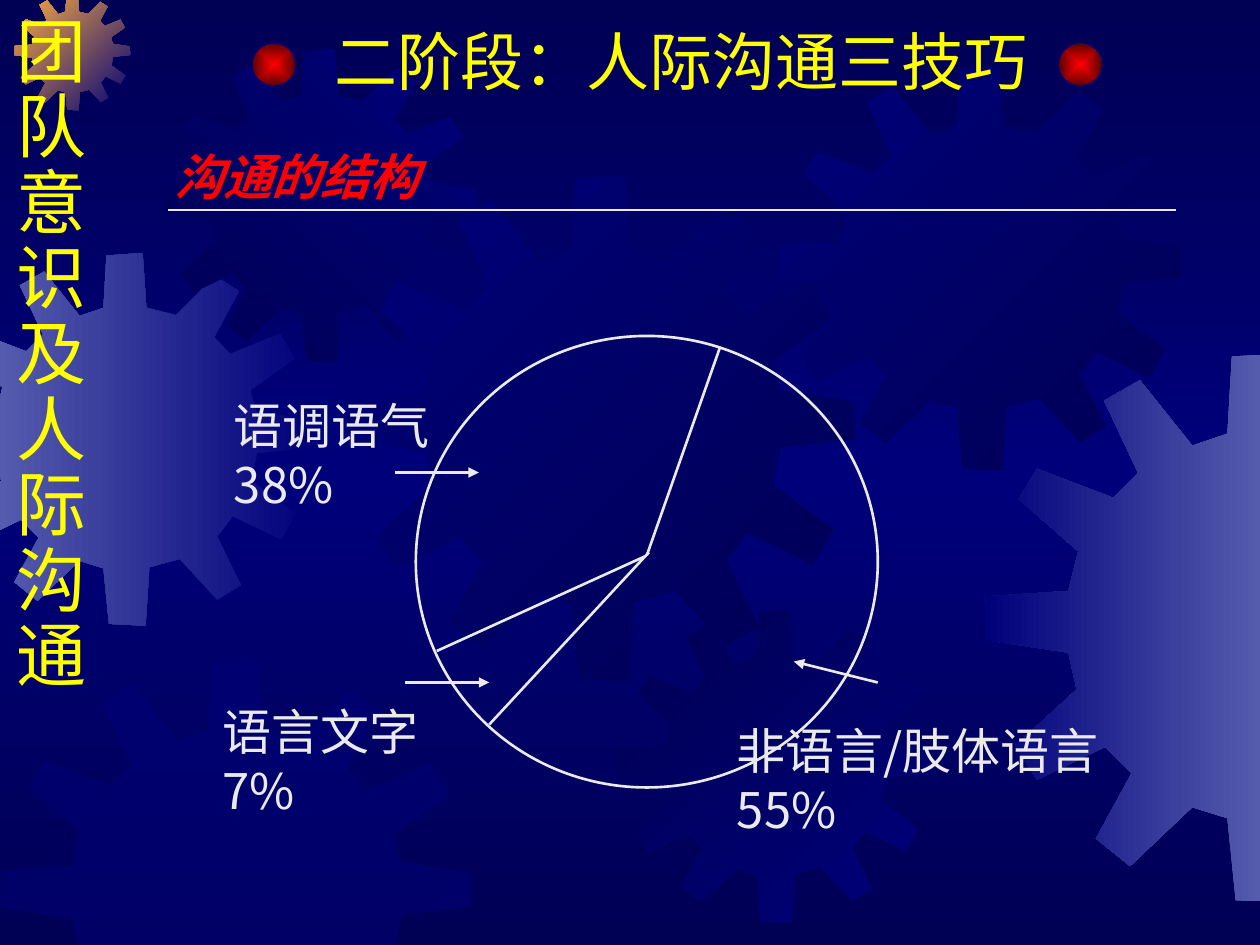
from copy import deepcopy

from lxml import etree
from pptx import Presentation
from pptx.dml.color import RGBColor
from pptx.enum.shapes import MSO_CONNECTOR, MSO_SHAPE
from pptx.oxml.ns import qn
from pptx.util import Inches, Pt

OVAL = MSO_SHAPE.OVAL
LINE = MSO_CONNECTOR.STRAIGHT
DARK = RGBColor(0x00, 0x00, 0x54)
NAVY = RGBColor(0x00, 0x00, 0x7A)
LILAC = RGBColor(0x55, 0x5B, 0xAD)
AMBER = RGBColor(0xFC, 0xAB, 0x40)
GOLD = RGBColor(0xFF, 0xFF, 0x00)
RED = RGBColor(0xFF, 0x00, 0x00)
WINE = RGBColor(0x5B, 0x00, 0x00)
PALE = RGBColor(0xEA, 0xEA, 0xEA)
NOTO = "Noto Sans CJK SC"
SLIM = "Arial Narrow"

# Slide on a grid of 120 columns by 90 rows
COLS, ROWS = 120, 90
prs = Presentation()
prs.slide_width, prs.slide_height = Inches(10), Inches(7.5)
COL, ROW = prs.slide_width / COLS, prs.slide_height / ROWS
slide = prs.slides.add_slide(prs.slide_layouts[6])
shapes = slide.shapes


def grid(*nums):
    """Turn alternating column and row counts into lengths."""
    return [round(n * (ROW if i % 2 else COL)) for i, n in enumerate(nums)]


def clip(pts, axis, edge, sign):
    """Cut an outline along one edge of the slide."""
    out = []
    for a, b in zip(pts, pts[1:] + pts[:1]):
        da, db = sign * (a[axis] - edge), sign * (b[axis] - edge)
        if da >= 0:
            out.append(a)
        if da * db < 0:
            t = da / (da - db)
            out.append((a[0] + t * (b[0] - a[0]), a[1] + t * (b[1] - a[1])))
    return out


# Background: dark at top and bottom, navy in the middle
fill = slide.background.fill
fill.gradient()
fill.gradient_angle = 90
stops = slide.element.xpath("./p:cSld/p:bg//a:gsLst")[0]
stops.append(deepcopy(stops[-1]))
for stop, pos, tone in zip(fill.gradient_stops, (0, 0.5, 1), (DARK, NAVY, DARK)):
    stop.color.rgb = tone
    stop.position = pos

# Gear outline, in percent of its size
GEAR = [
    (63.6, 16.7), (55.6, 14.7), (54.6, 0), (44.9, 0.7), (44.1, 14.7), (37.7, 16.9),
    (28.2, 5), (21.7, 8.7), (27.9, 21.9), (23.4, 26.4), (9.5, 21.1), (6.2, 26.6),
    (17, 36.1), (15.2, 43.3), (0.2, 44.3), (0, 52.2), (15.2, 54.5), (16.7, 61.2),
    (5.5, 71.4), (9.5, 77.6), (21.9, 71.6), (26.7, 76.4), (20.2, 88.3), (26.4, 93.3),
    (37.7, 82.6), (44.1, 84.6), (45.6, 99.5), (55.4, 100), (56.4, 84.3), (64.6, 82.1),
    (74.6, 93), (81, 89.1), (74.6, 76.1), (78.8, 70.6), (91.8, 76.9), (95.8, 69.9),
    (83.8, 61.2), (85.3, 53.7), (100, 52.2), (99.8, 44.8), (85, 42.5), (83.5, 36.8),
    (95.5, 28.4), (91.5, 21.6), (78.1, 27.1), (73.8, 22.6), (80.5, 10.2), (74.1, 6.2),
]

# Gears: left, top, size, first tone, last tone, angle (None: half-clear)
gears = [
    (-5.8, 24.1, 35.5, NAVY, LILAC, 180),
    (1.4, -0.5, 11, NAVY, AMBER, 135),
    (15.6, 4.7, 29.8, NAVY, DARK, 225),
    (33.2, 16.7, 48.2, DARK, NAVY, 135),
    (0, 63, 44.9, NAVY, NAVY, None),
    (58.9, 58.1, 29.8, NAVY, DARK, 135),
    (74.2, 6.4, 38.4, DARK, NAVY, 135),
    (93.8, 33.6, 52.4, LILAC, NAVY, 180),
]
for left, top, size, first, last, angle in gears:
    pts = [(left + x * size / 100, top + y * size / 100) for x, y in GEAR]
    for axis, edge, sign in ((0, 0, 1), (0, COLS, -1), (1, 0, 1), (1, ROWS, -1)):
        pts = clip(pts, axis, edge, sign)
    pts = [grid(*p) for p in pts]
    form = shapes.build_freeform(*pts[0])
    form.add_line_segments(pts[1:], close=True)
    gear = form.convert_to_shape()
    gear.shadow.inherit = False
    gear.line.fill.background()
    if angle is None:
        gear.fill.solid()
        gear.fill.fore_color.rgb = first
        tint = gear.element.xpath("./p:spPr/a:solidFill/a:srgbClr")[0]
        etree.SubElement(tint, qn("a:alpha")).set("val", "50000")
    else:
        gear.fill.gradient()
        gear.fill.gradient_angle = angle
        for stop, tone in zip(gear.fill.gradient_stops, (first, last)):
            stop.color.rgb = tone

# Red balls beside the title
for left in (24, 100.8):
    ball = shapes.add_shape(OVAL, *grid(left, 4.1, 4.2, 4.1))
    ball.shadow.inherit = False
    ball.line.color.rgb = NAVY
    ball.line.width = Pt(0.75)
    ball.fill.gradient()
    for stop, tone in zip(ball.fill.gradient_stops, (RED, WINE)):
        stop.color.rgb = tone
    lin = ball.element.xpath(".//a:lin")[0]
    glow = etree.Element(qn("a:path"))
    glow.set("path", "rect")
    rect = etree.SubElement(glow, qn("a:fillToRect"))
    for side in "ltrb":
        rect.set(side, "50000")
    lin.getparent().replace(lin, glow)

# Texts: box, lines, line spacing, tone, font format
label = {"name": NOTO, "size": Pt(28)}
texts = [
    ((0.4, 1, 9, 66), "团队意识及人际沟通", 0.9, GOLD, {"name": SLIM, "size": Pt(40)}),
    ((30.7, 1.6, 68.4, 8.4), ["二阶段：人际沟通三技巧"], 1, GOLD,
     {"name": SLIM, "size": Pt(36)}),
    ((15.4, 13.4, 28, 6.8), ["沟通的结构"], 1, RED,
     {**label, "bold": True, "italic": True}),
    ((20, 66.2, 26.8, 12.4), ["语言文字", "7%"], 1, PALE, label),
    ((21.1, 37.1, 29.2, 12.4), ["语调语气", "38%"], 1, PALE, label),
    ((69, 68, 47.6, 12.4), ["非语言/肢体语言", "55%"], 1, PALE, label),
]
for box, lines, space, tone, style in texts:
    frame = shapes.add_textbox(*grid(*box)).text_frame
    frame.word_wrap = True
    for i, line in enumerate(lines):
        para = frame.add_paragraph() if i else frame.paragraphs[0]
        para.line_spacing = space
        run = para.add_run()
        run.text = line
        for key, val in style.items():
            setattr(run.font, key, val)
        run.font.color.rgb = tone
        east = etree.SubElement(run.font._element, qn("a:ea"))
        east.set("typeface", NOTO)

# Circle of the pie
ring = shapes.add_shape(OVAL, *grid(39.6, 32, 44, 43))
ring.shadow.inherit = False
ring.fill.background()
ring.line.color.rgb = PALE
ring.line.width = Pt(1.5)

# Lines: ends, width, arrowhead
lines = [
    ((16, 20, 112, 20), 0.75, False),
    ((46.6, 69, 61.8, 52.6), 1.5, False),
    ((41.6, 62, 61.4, 53), 1.5, False),
    ((68.6, 33, 61.6, 52.9), 1.5, False),
    ((37.6, 45, 45.6, 45), 1.5, True),
    ((38.6, 65, 46.6, 65), 1.5, True),
    ((83.6, 65, 75.6, 63), 1.5, True),
]
for ends, width, head in lines:
    rule = shapes.add_connector(LINE, *grid(*ends))
    rule.line.color.rgb = PALE
    rule.line.width = Pt(width)
    props = rule.element.xpath("./p:spPr")[0]
    if head:
        tip = etree.SubElement(props.find(qn("a:ln")), qn("a:tailEnd"))
        tip.set("type", "triangle")
    etree.SubElement(props, qn("a:effectLst"))

prs.save("out.pptx")
